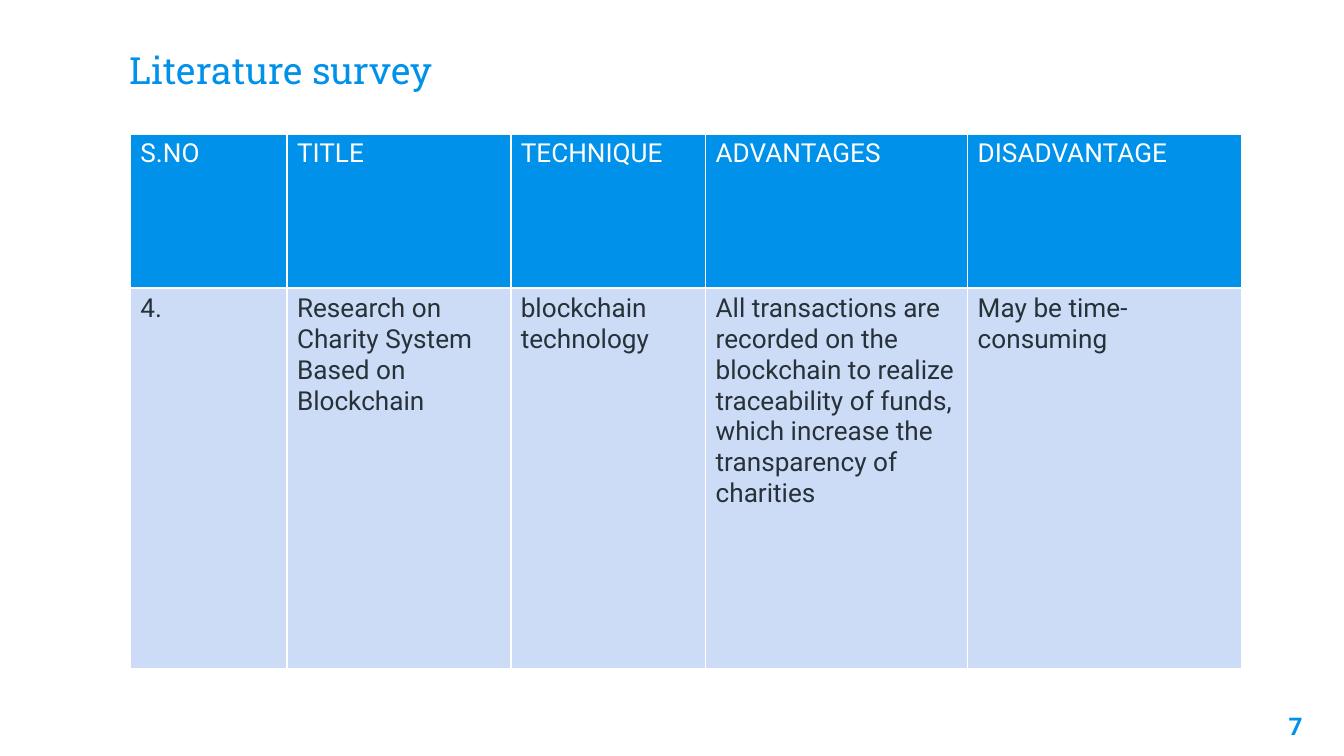
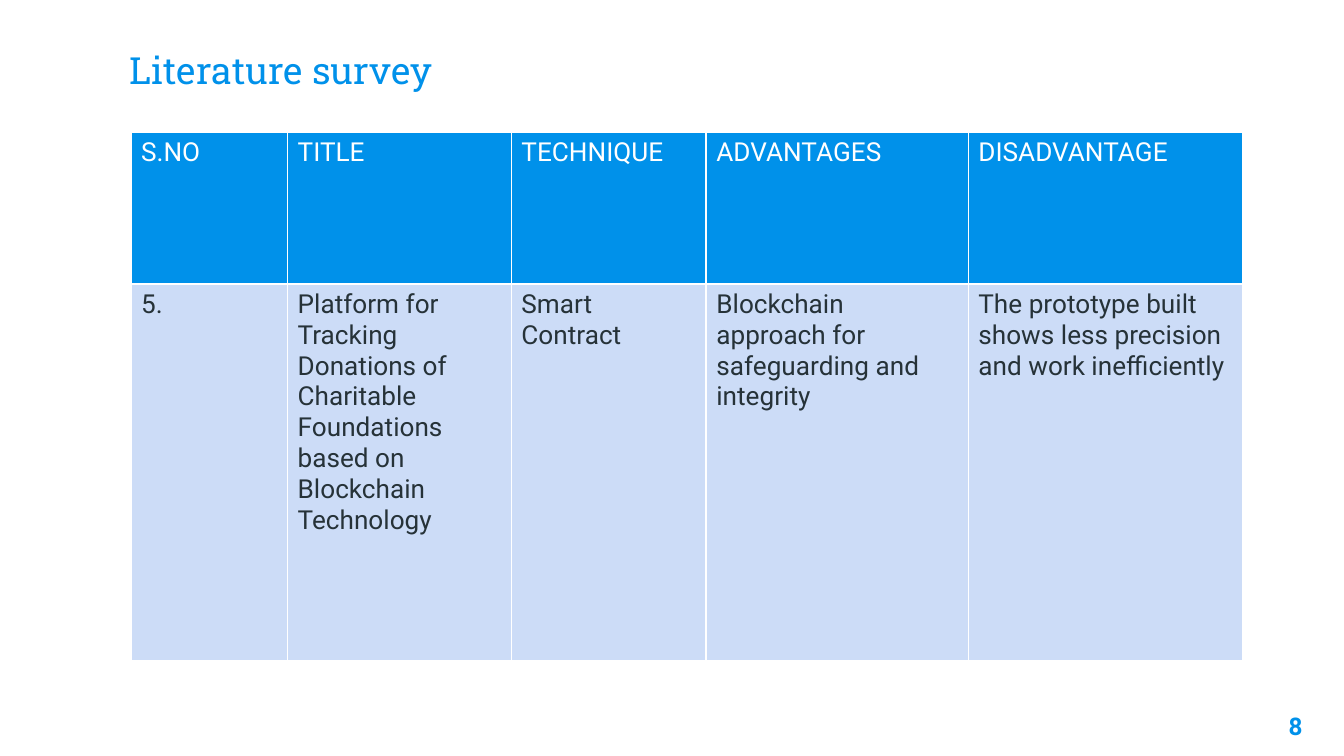
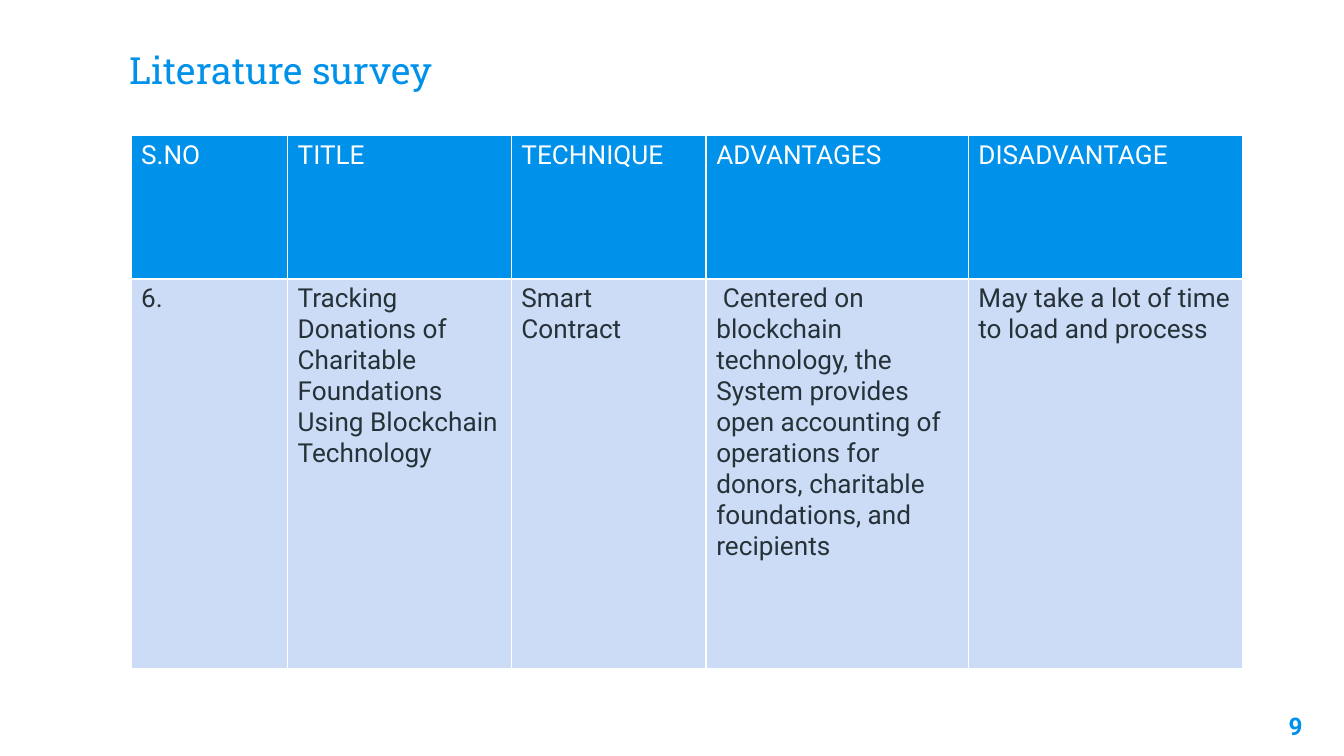
from dataclasses import dataclass

from lxml import etree
from pptx import Presentation
from pptx.dml.color import RGBColor
from pptx.enum.text import MSO_ANCHOR, PP_ALIGN
from pptx.oxml.ns import qn
from pptx.util import Pt

PX = 4572  # EMU in one px, 200 px to the inch
LEFT, RIGHT = PP_ALIGN.LEFT, PP_ALIGN.RIGHT
TOP, BOTTOM = MSO_ANCHOR.TOP, MSO_ANCHOR.BOTTOM


@dataclass(frozen=True)
class Theme:
    accent: str = "0091EA"
    ink: str = "263238"
    row: str = "CCDCF7"
    white: str = "FFFFFF"
    title_font: str = "Roboto Slab"
    body_font: str = "Roboto"
    title_size: int = 20
    table_size: int = 14
    number_size: int = 13


theme = Theme()


def write(frame, text, size, color, font=theme.body_font, bold=False, align=LEFT):
    """Fill a text frame, one paragraph for each line of text."""
    frame.word_wrap = True
    for index, line in enumerate(text.split("\n")):
        para = frame.add_paragraph() if index else frame.paragraphs[0]
        para.alignment = align
        span = para.add_run()
        span.text = line
        span.font.name = font
        span.font.size = Pt(size)
        span.font.bold = bold
        span.font.color.rgb = RGBColor.from_string(color)


def add_text(page, place, text, anchor=TOP, **style):
    box = page.shapes.add_textbox(*(length * PX for length in place))
    frame = box.text_frame
    frame.margin_left = frame.margin_right = 20 * PX
    frame.margin_top = frame.margin_bottom = 20 * PX
    frame.vertical_anchor = anchor
    write(frame, text, **style)


# Survey content: table corner, row heights and the entry of each page
headings = ["S.NO", "TITLE", "TECHNIQUE", "ADVANTAGES", "DISADVANTAGE"]
column_widths = [233, 333, 290, 390, 408]
surveys = [
    (194, 199, [230, 567], [
        "4.",
        "Research on Charity System Based on Blockchain",
        "blockchain technology",
        "All transactions are recorded on the blockchain to realize "
        "traceability of funds,\nwhich increase the transparency of charities",
        "May be time-consuming",
    ]),
    (195, 197, [226, 560], [
        "5.",
        "Platform for Tracking Donations of Charitable Foundations "
        "based on Blockchain Technology",
        "Smart Contract",
        "Blockchain approach for safeguarding and integrity",
        "The prototype built shows less precision and work inefficiently",
    ]),
    (195, 201, [214, 580], [
        "6.",
        "Tracking Donations of Charitable Foundations\n"
        "Using Blockchain Technology",
        "Smart Contract",
        " Centered on blockchain technology, the System provides open "
        "accounting of\noperations for donors, charitable foundations, "
        "and recipients",
        "May take a lot of time to load and process",
    ]),
]

# Fill and text colour of the heading and entry rows
row_styles = [(theme.accent, theme.white), (theme.row, theme.ink)]

deck = Presentation()
deck.slide_width, deck.slide_height = 2000 * PX, 1125 * PX

for page_number, survey in enumerate(surveys, start=7):
    table_left, table_top, row_heights, entry = survey
    page = deck.slides.add_slide(deck.slide_layouts[6])
    page.background.fill.solid()
    page.background.fill.fore_color.rgb = RGBColor.from_string(theme.white)

    # Survey table
    table = page.shapes.add_table(
        2, len(headings), table_left * PX, table_top * PX,
        sum(column_widths) * PX, sum(row_heights) * PX).table
    table.first_row = table.horz_banding = False
    for column, width in zip(table.columns, column_widths):
        column.width = width * PX

    for row, height, texts, (fill, color) in zip(
            table.rows, row_heights, (headings, entry), row_styles):
        row.height = height * PX
        for cell, text in zip(row.cells, texts):
            cell.margin_left = cell.margin_right = 15 * PX
            cell.margin_top = cell.margin_bottom = 7 * PX
            write(cell.text_frame, text, size=theme.table_size, color=color)
            # Borders come before the fill in the cell properties
            properties = cell._tc.get_or_add_tcPr()
            for side in "LRTB":
                border = etree.SubElement(
                    properties, qn(f"a:ln{side}"), w=str(Pt(1)))
                paint = etree.SubElement(border, qn("a:solidFill"))
                etree.SubElement(paint, qn("a:srgbClr"), val=theme.white)
            cell.fill.solid()
            cell.fill.fore_color.rgb = RGBColor.from_string(fill)

    # Title and page number
    add_text(page, (173, 55, 1656, 102), "Literature survey", anchor=BOTTOM,
             size=theme.title_size, color=theme.accent, font=theme.title_font)
    add_text(page, (1838, 1039, 120, 86), str(page_number), bold=True, align=RIGHT,
             size=theme.number_size, color=theme.accent)

deck.save("out.pptx")
